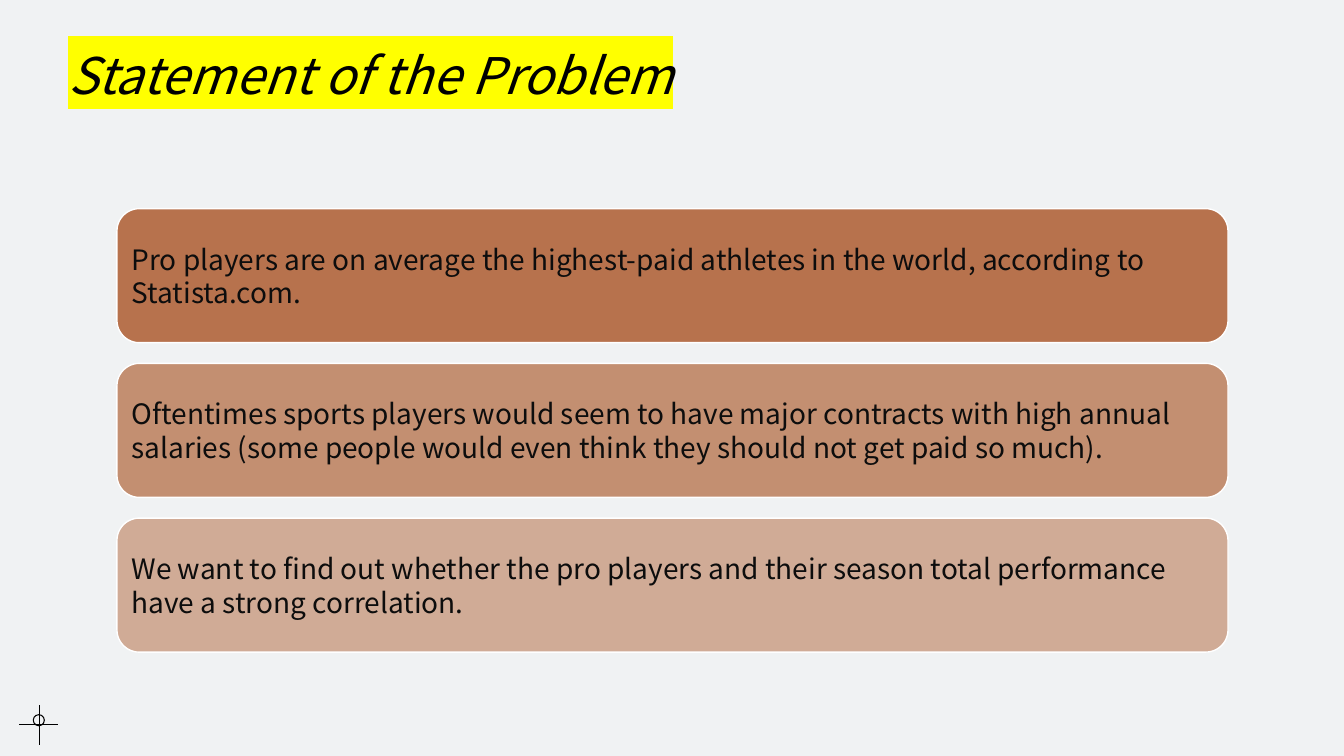
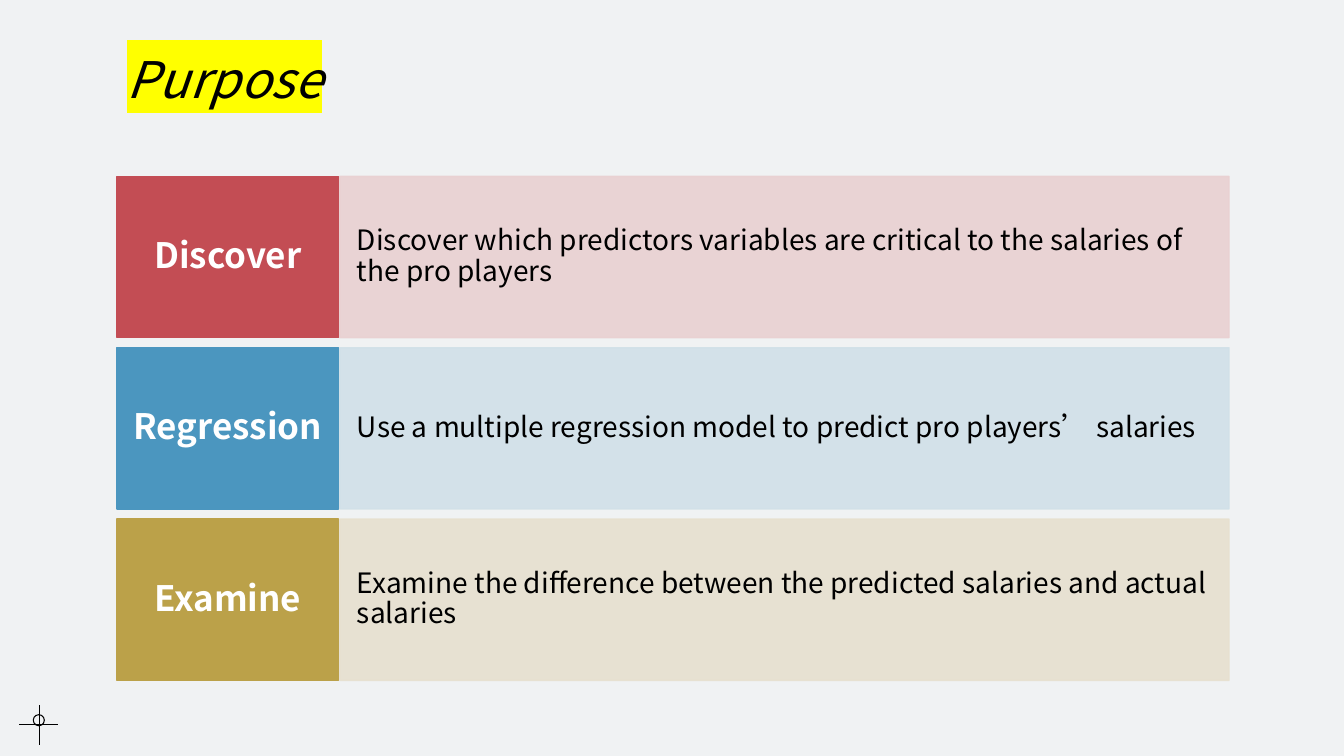
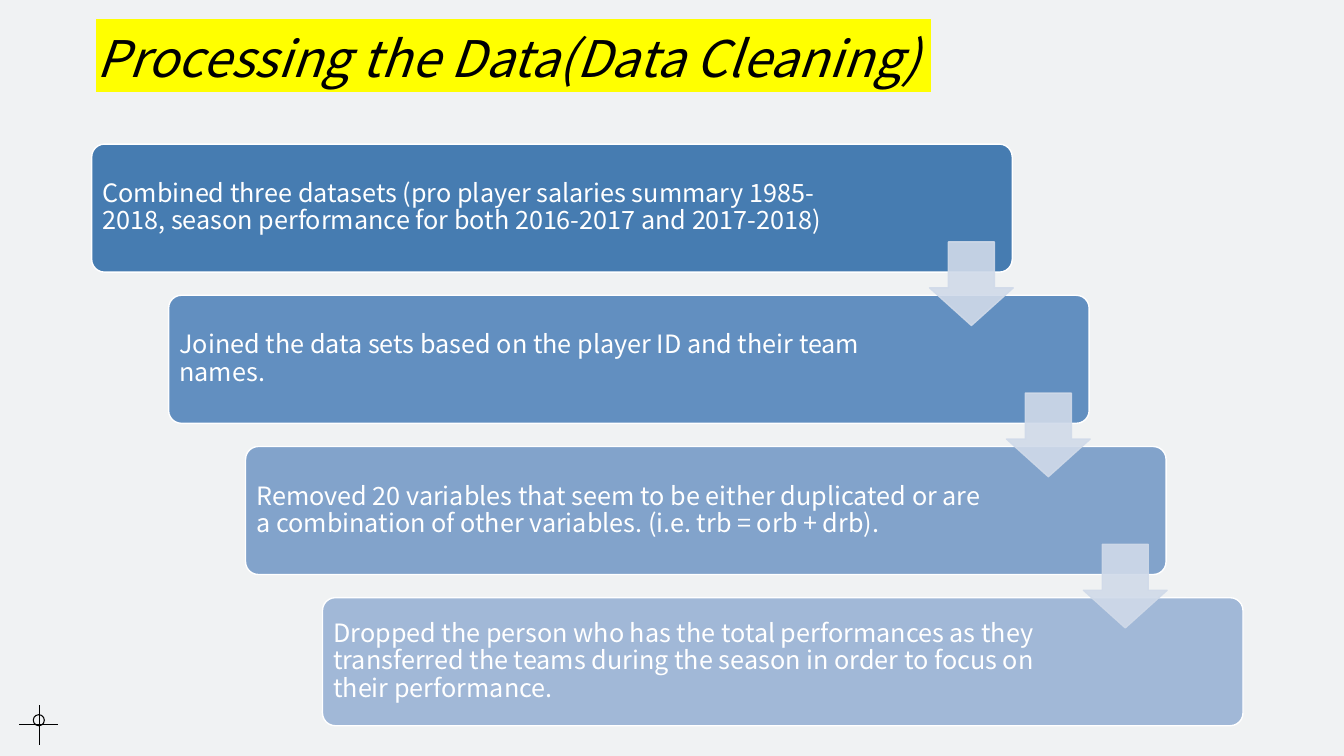
from dataclasses import dataclass

from pptx import Presentation
from pptx.dml.color import RGBColor
from pptx.enum.shapes import MSO_CONNECTOR as CONNECTOR, MSO_SHAPE as SHAPE
from pptx.enum.text import MSO_ANCHOR as ANCHOR, PP_ALIGN as ALIGN
from pptx.oxml.ns import qn
from pptx.oxml.xmlchemy import OxmlElement as Element
from pptx.util import Inches, Pt


@dataclass(frozen=True)
class Theme:
    font: str = "Noto Sans CJK SC"
    background: str = "F0F2F3"
    ink: str = "000000"
    statement_ink: str = "0D0D0D"
    white: str = "FFFFFF"
    highlight: str = "FFFF00"
    statement: str = "B1653B"
    arrow: str = "D0DAE9"
    title_size: int = 36
    label_size: int = 25
    body_size: int = 20
    step_size: int = 18


THEME = Theme()

STATEMENTS = [
    (90, "Pro players are on average the highest-paid athletes in the world, "
         "according to Statista.com."),
    (70, "Oftentimes sports players would seem to have major contracts with high annual "
         "salaries (some people would even think they should not get paid so much)."),
    (50, "We want to find out whether the pro players and their season total performance "
         "have a strong correlation."),
]
PURPOSES = [
    ("Discover", "C34D54", "E9D0D1",
     "Discover which predictors variables are critical to the salaries of the pro players"),
    ("Regression", "4B96BF", "D0E0E8",
     "Use a multiple regression model to predict pro players’ salaries"),
    ("Examine", "BBA149", "E7E0CF",
     "Examine the difference between the predicted salaries and actual salaries"),
]
STEPS = [
    ("467CB1", "Combined three datasets (pro player salaries summary 1985-2018, "
               "season performance for both 2016-2017 and 2017-2018)"),
    ("628FC0", "Joined the data sets based on the player ID and their team names."),
    ("82A3CB", "Removed 20 variables that seem to be either duplicated or are "
               "a combination of other variables. (i.e. trb = orb + drb)."),
    ("A1B8D7", "Dropped the person who has the total performances as they transferred "
               "the teams during the season in order to focus on their performance."),
]


def rgb(color):
    return RGBColor.from_string(color)


def set_alpha(shape, percent):
    for color in shape._element.spPr.iter(qn("a:srgbClr")):
        alpha = Element("a:alpha")
        alpha.set("val", str(percent * 1000))
        color.append(alpha)


def add_text(shape, text, size, color, insets, spacing, align=ALIGN.LEFT,
             anchor=ANCHOR.MIDDLE, bold=False, italic=False):
    frame = shape.text_frame
    frame.word_wrap = True
    frame.vertical_anchor = anchor
    (frame.margin_left, frame.margin_top,
     frame.margin_right, frame.margin_bottom) = map(Inches, insets)
    paragraph = frame.paragraphs[0]
    paragraph.alignment = align
    paragraph.line_spacing = spacing
    run = paragraph.add_run()
    run.text = text
    font = run.font
    font.size, font.name = Pt(size), THEME.font
    font.bold, font.italic = bold, italic
    font.color.rgb = rgb(color)
    east_asian = Element("a:ea")
    east_asian.set("typeface", THEME.font)
    run._r.rPr.find(qn("a:latin")).addnext(east_asian)
    return run


def add_box(slide, kind, box, fill, line, alpha=None, line_alpha=False):
    shape = slide.shapes.add_shape(kind, *map(Inches, box))
    shape.shadow.inherit = False
    shape.fill.solid()
    shape.fill.fore_color.rgb = rgb(fill)
    if alpha and not line_alpha:
        set_alpha(shape, alpha)
    shape.line.color.rgb = rgb(line)
    shape.line.width = Pt(1)
    if alpha and line_alpha:
        set_alpha(shape, alpha)
    return shape


def add_title(slide, text, box, align=ALIGN.LEFT):
    title = slide.shapes.add_textbox(*map(Inches, box))
    run = add_text(title, text, THEME.title_size, THEME.ink, (0.1, 0.05, 0.1, 0.05),
                   1.2, align, ANCHOR.BOTTOM, italic=True)
    highlight = Element("a:highlight")
    color = Element("a:srgbClr")
    color.set("val", THEME.highlight)
    highlight.append(color)
    run._r.rPr.find(qn("a:latin")).addprevious(highlight)


def add_crosshair(slide):
    for ends in ((0.19, 7.19, 0.58, 7.19), (0.39, 7.39, 0.39, 6.99)):
        hair = slide.shapes.add_connector(CONNECTOR.STRAIGHT, *map(Inches, ends))
        hair.line.color.rgb = rgb(THEME.ink)
        hair.line.width = Pt(0.75)
        hair._element.spPr.append(Element("a:effectLst"))
    ring = slide.shapes.add_shape(SHAPE.OVAL, *map(Inches, (0.33, 7.09, 0.11, 0.11)))
    ring.shadow.inherit = False
    ring.fill.background()
    ring.line.color.rgb = rgb(THEME.ink)
    ring.line.width = Pt(0.75)


def add_slide(prs, title, title_box, align=ALIGN.LEFT):
    slide = prs.slides.add_slide(prs.slide_layouts[6])
    add_title(slide, title, title_box, align)
    add_crosshair(slide)
    return slide


def add_statements(slide):
    for row, (alpha, text) in enumerate(STATEMENTS):
        card = add_box(slide, SHAPE.ROUNDED_RECTANGLE, (1.16, 2.07 + row * 1.535, 11.02, 1.33),
                       THEME.statement, THEME.white, alpha)
        add_text(card, text, THEME.body_size, THEME.statement_ink, (0.08,) * 4, 1.0)


def add_purposes(slide):
    for row, (label, strong, pale, text) in enumerate(PURPOSES):
        top = 1.75 + row * 1.7
        detail = add_box(slide, SHAPE.RECTANGLE, (3.37, top, 8.82, 1.6),
                         pale, pale, 90, line_alpha=True)
        add_text(detail, text, THEME.body_size, THEME.ink, (0.17, 0.41, 0.17, 0.41), 0.9)
        heading = add_box(slide, SHAPE.RECTANGLE, (1.16, top, 2.2, 1.6), strong, strong)
        add_text(heading, label, THEME.label_size, THEME.white, (0.12, 0.16, 0.12, 0.16),
                 0.9, ALIGN.CENTER, bold=True)


def add_steps(slide):
    corners = [(0.91 + step * 0.763, 1.43 + step * 1.5) for step in range(len(STEPS))]
    for (left, top), (fill, text) in zip(corners, STEPS):
        card = add_box(slide, SHAPE.ROUNDED_RECTANGLE, (left, top, 9.13, 1.27),
                       fill, THEME.white)
        card.adjustments[0] = 0.1
        add_text(card, text, THEME.step_size, THEME.white, (0.07, 0.07, 1.66, 0.07), 0.9)
    for left, top in corners[:-1]:
        arrow = add_box(slide, SHAPE.DOWN_ARROW, (left + 8.31, top + 0.97, 0.83, 0.83),
                        THEME.arrow, THEME.arrow, 90, line_alpha=True)
        arrow.adjustments[0] = 0.55
        arrow.adjustments[1] = 0.45


def main():
    prs = Presentation()
    prs.slide_width, prs.slide_height = Inches(13.33), Inches(7.5)
    backdrop = prs.slide_master.background.fill
    backdrop.solid()
    backdrop.fore_color.rgb = rgb(THEME.background)

    add_statements(add_slide(prs, "Statement of the Problem", (0.58, 0.24, 10.38, 0.85)))
    add_purposes(add_slide(prs, "Purpose", (1.16, 0.36, 10.38, 0.77)))
    add_steps(add_slide(prs, "Processing the Data(Data Cleaning) ",
                        (0.58, 0.33, 8.75, 0.59), ALIGN.RIGHT))
    prs.save("out.pptx")


if __name__ == "__main__":
    main()
